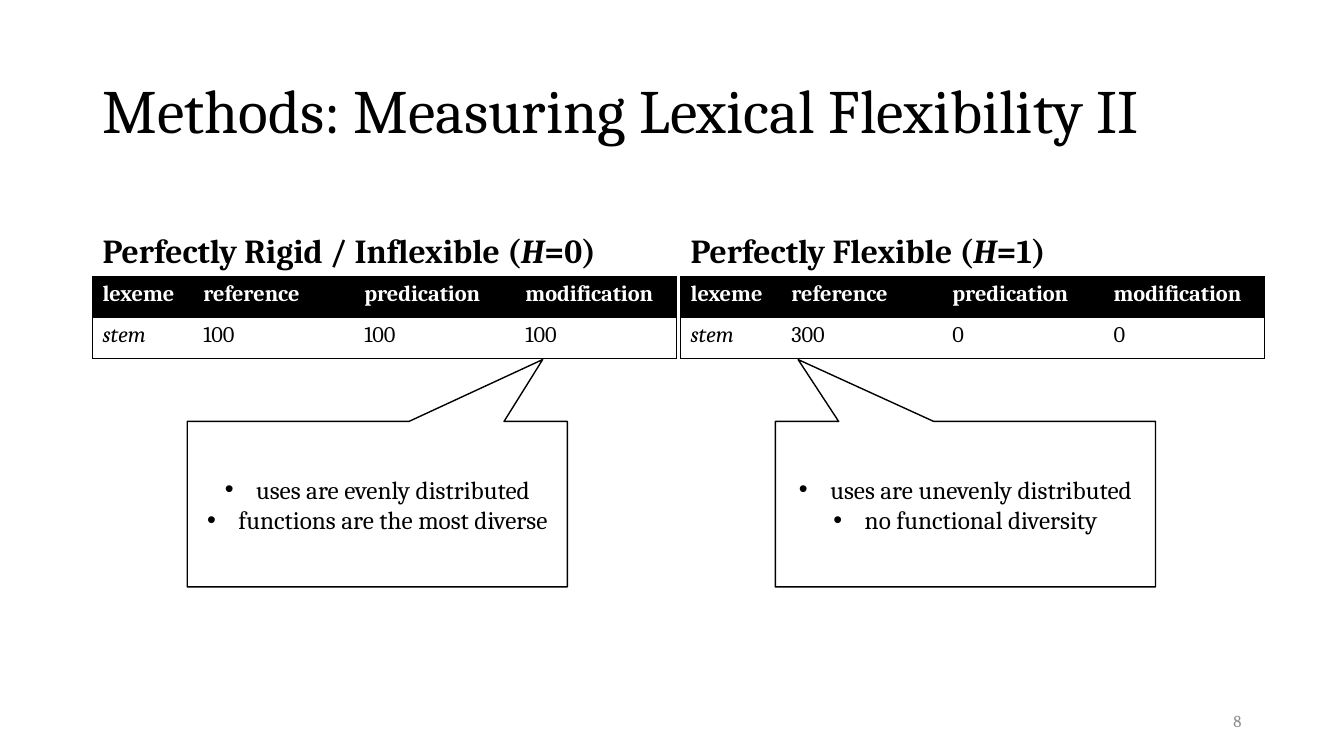
from lxml.etree import SubElement
from pptx import Presentation
from pptx.dml.color import RGBColor
from pptx.enum.shapes import MSO_SHAPE
from pptx.enum.text import MSO_ANCHOR, MSO_AUTO_SIZE, PP_ALIGN
from pptx.oxml.ns import qn
from pptx.util import Cm, Pt

FONT = "Cambria"
BLACK, WHITE, GREY = "000000", "FFFFFF", "8C8C8C"
COLUMN_WIDTHS = (2.54, 4.06, 4.06, 4.06)
ROW_HEIGHT = 1.03
HEADERS = ("lexeme", "reference", "predication", "modification")


def color(hex_string):
    """Turn a hex string into a colour."""
    return RGBColor.from_string(hex_string)


def format_run(run, size, hex_string=BLACK, bold=False, italic=False):
    """Give a run its font, size, colour and style."""
    font = run.font
    font.name, font.size = FONT, Pt(size)
    font.bold, font.italic = bold, italic
    font.color.rgb = color(hex_string)


def place(shape, left, top, width, height):
    """Move a shape to a box given in centimetres."""
    shape.left, shape.top = Cm(left), Cm(top)
    shape.width, shape.height = Cm(width), Cm(height)


def set_frame(shape, anchor):
    """Wrap the text of a shape, keep its size and anchor it."""
    frame = shape.text_frame
    frame.word_wrap = True
    frame.auto_size = MSO_AUTO_SIZE.NONE
    frame.vertical_anchor = anchor
    return frame


def add_title(slide, text, box):
    """Fill the title placeholder."""
    place(slide.shapes.title, *box)
    frame = set_frame(slide.shapes.title, MSO_ANCHOR.MIDDLE)
    frame.text = text
    paragraph = frame.paragraphs[0]
    paragraph.alignment = PP_ALIGN.LEFT
    paragraph.line_spacing = 0.9
    format_run(paragraph.runs[0], 44)


def add_heading(placeholder, parts, box):
    """Fill a heading whose middle part is italic."""
    place(placeholder, *box)
    paragraph = set_frame(placeholder, MSO_ANCHOR.BOTTOM).paragraphs[0]
    paragraph.alignment = PP_ALIGN.LEFT
    paragraph.line_spacing = 0.9
    paragraph.space_before = Pt(10)
    for index, part in enumerate(parts):
        run = paragraph.add_run()
        run.text = part
        format_run(run, 24, bold=True, italic=index == 1)


def set_borders(cell, visible_sides):
    """Draw thin black lines on the named sides and none on the others."""
    properties = cell._tc.get_or_add_tcPr()
    for side in "LRTB":
        line = SubElement(properties, qn(f"a:ln{side}"), w=str(Pt(0.5)))
        if side in visible_sides:
            fill = SubElement(line, qn("a:solidFill"))
            SubElement(fill, qn("a:srgbClr"), val=BLACK)
        else:
            SubElement(line, qn("a:noFill"))


def add_counts(slide, counts, left, top):
    """Add the table of uses of one stem."""
    rows = (HEADERS, ("stem", *counts))
    last_column = len(HEADERS) - 1
    table = slide.shapes.add_table(
        len(rows), len(HEADERS), Cm(left), Cm(top),
        Cm(sum(COLUMN_WIDTHS)), Cm(ROW_HEIGHT * len(rows))).table
    table.horz_banding = False
    for column, width in zip(table.columns, COLUMN_WIDTHS):
        column.width = Cm(width)
    for row_index, row in enumerate(rows):
        is_header = row_index == 0
        for column_index, text in enumerate(row):
            cell = table.cell(row_index, column_index)
            sides = "T" if is_header else "TB"
            sides += {0: "L", last_column: "R"}.get(column_index, "")
            set_borders(cell, sides)
            cell.fill.solid()
            cell.fill.fore_color.rgb = color(BLACK if is_header else WHITE)
            cell.text_frame.text = text
            format_run(cell.text_frame.paragraphs[0].runs[0], 16,
                       WHITE if is_header else BLACK, bold=is_header,
                       italic=not is_header and column_index == 0)


def add_bullet(paragraph):
    """Put a hanging bullet before a paragraph."""
    properties = paragraph._p.get_or_add_pPr()
    properties.set("marL", str(Cm(0.79)))
    properties.set("indent", str(-Cm(0.79)))
    SubElement(properties, qn("a:buFont"), typeface="Arial")
    SubElement(properties, qn("a:buChar"), char="•")


def add_callout(slide, lines, pointer, box):
    """Add a callout with bullets that points up at the table."""
    shape = slide.shapes.add_shape(
        MSO_SHAPE.RECTANGULAR_CALLOUT, *(Cm(length) for length in box))
    shape.adjustments[0], shape.adjustments[1] = pointer, -0.874
    shape.shadow.inherit = False
    shape.fill.solid()
    shape.fill.fore_color.rgb = color(WHITE)
    shape.line.color.rgb = color(BLACK)
    shape.line.width = Pt(1)
    frame = set_frame(shape, MSO_ANCHOR.MIDDLE)
    frame.text = "\n".join(lines)
    for paragraph in frame.paragraphs:
        paragraph.alignment = PP_ALIGN.CENTER
        add_bullet(paragraph)
        format_run(paragraph.runs[0], 18)


def add_case(slide, placeholder, heading, counts, lines, pointer, left, top):
    """Add one half of the comparison: heading, table and callout."""
    add_heading(placeholder, heading, (left, top, 14.35, 2.28))
    add_counts(slide, counts, left, top + 2.28)
    add_callout(slide, lines, pointer, (left + 2.39, top + 5.94, 9.58, 4.17))


def add_page_number(slide, number, box):
    """Add the page number at the lower right."""
    shape = slide.shapes.add_textbox(*(Cm(length) for length in box))
    frame = set_frame(shape, MSO_ANCHOR.MIDDLE)
    frame.text = number
    frame.paragraphs[0].alignment = PP_ALIGN.RIGHT
    format_run(frame.paragraphs[0].runs[0], 12, GREY)


def main():
    """Build and save the slide."""
    presentation = Presentation()
    presentation.slide_width, presentation.slide_height = Cm(33.87), Cm(19.05)
    slide = presentation.slides.add_slide(presentation.slide_layouts[4])
    placeholders = {shape.placeholder_format.idx: shape
                    for shape in slide.placeholders}
    for index in (2, 4):
        element = placeholders[index].element
        element.getparent().remove(element)

    add_title(slide, "Methods: Measuring Lexical Flexibility II",
              (2.33, 1.02, 29.21, 3.68))
    add_case(slide, placeholders[1],
             ("Perfectly Rigid / Inflexible (", "H", "=0)"),
             ("100", "100", "100"),
             ("uses are evenly distributed", "functions are the most diverse"),
             0.435, 2.33, 4.68)
    add_case(slide, placeholders[3],
             ("Perfectly Flexible (", "H", "=1)"),
             ("300", "0", "0"),
             ("uses are unevenly distributed", "no functional diversity"),
             -0.44, 17.15, 4.68)
    add_page_number(slide, "8", (23.92, 17.66, 7.62, 1.01))
    presentation.save("out.pptx")


if __name__ == "__main__":
    main()
